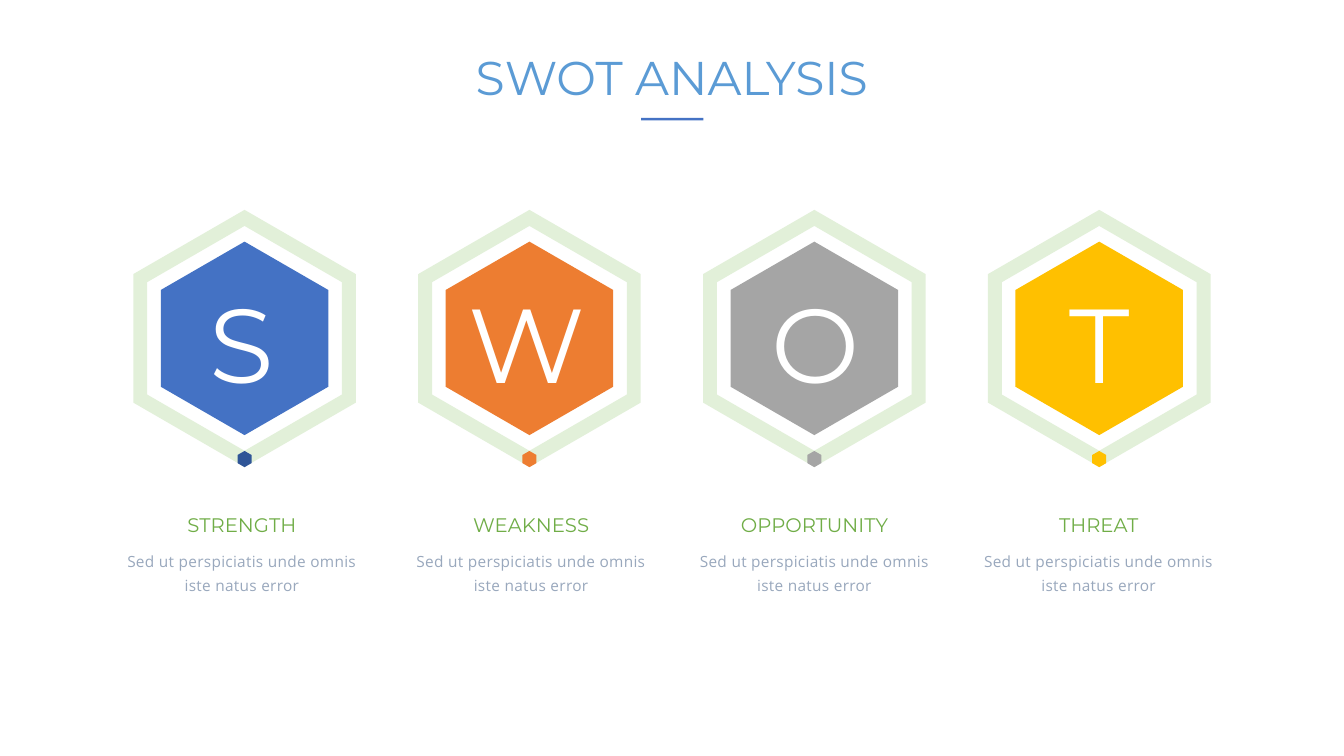
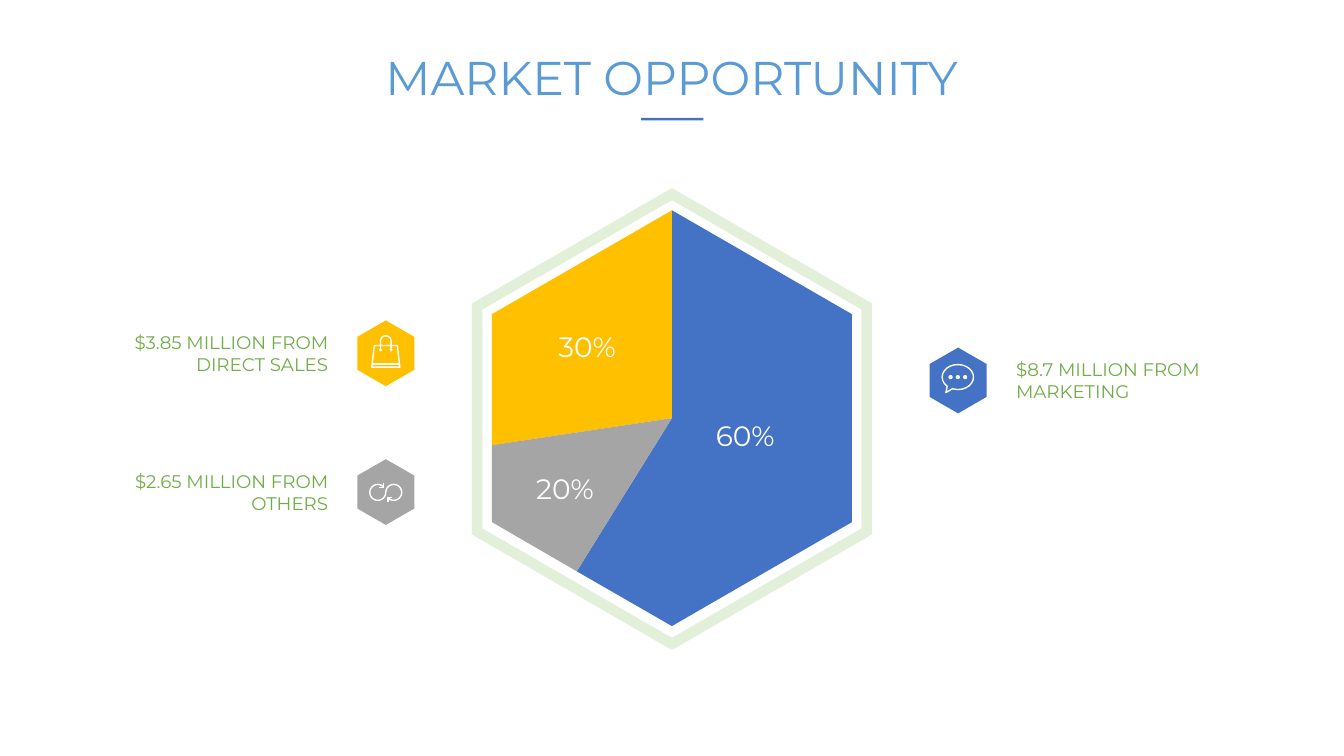
from math import cos, radians, sin

from pptx import Presentation
from pptx.dml.color import RGBColor
from pptx.enum.shapes import MSO_SHAPE
from pptx.enum.text import MSO_ANCHOR, PP_ALIGN
from pptx.util import Pt

LEFT, MID, RIGHT = PP_ALIGN.LEFT, PP_ALIGN.CENTER, PP_ALIGN.RIGHT
RECT, OVAL = MSO_SHAPE.RECTANGLE, MSO_SHAPE.OVAL
BUBBLE = MSO_SHAPE.OVAL_CALLOUT
HEAD, BODY = "Montserrat", "Open Sans"
BLUE, NAVY, SKY = "4472C4", "2F5597", "5B9BD5"
ORANGE, GREY, GOLD = "ED7D31", "A5A5A5", "FFC000"
GREEN, PALE, SLATE, WHITE = "70AD47", "E2F0D9", "99A8BD", "FFFFFF"
HEX = [(cos(radians(a)), sin(radians(a))) for a in range(-90, 270, 60)]
color = RGBColor.from_string


def trace(slide, x, y, loops, fill=None):
    pen = None
    for size, points in loops:
        spots = [(Pt(x + size * dx), Pt(y + size * dy)) for dx, dy in points]
        if pen is None:
            pen = slide.shapes.build_freeform(*spots[0])
        else:
            pen.move_to(*spots[0])
        pen.add_line_segments(spots[1:], close=fill is not None)
    shape = pen.convert_to_shape()
    shape.shadow.inherit = False
    if fill:
        shape.fill.solid()
        shape.fill.fore_color.rgb = color(fill)
        shape.line.fill.background()
    else:
        shape.fill.background()
        shape.line.color.rgb = color(WHITE)
        shape.line.width = Pt(1)


def label(slide, text, x, y, w, h, size, tint, align=MID, font=HEAD):
    frame = slide.shapes.add_textbox(Pt(x), Pt(y), Pt(w), Pt(h)).text_frame
    frame.word_wrap = True
    frame.margin_left = frame.margin_right = 0
    frame.margin_top = frame.margin_bottom = 0
    frame.text = text
    for para in frame.paragraphs:
        para.alignment = align
        para.font.name = font
        para.font.size = Pt(size)
        para.font.color.rgb = color(tint)
    return frame


deck = Presentation()
deck.slide_width, deck.slide_height = Pt(960), Pt(540)

slides = []
for title in ("SWOT ANALYSIS", "MARKET OPPORTUNITY"):
    slide = deck.slides.add_slide(deck.slide_layouts[6])
    rule = slide.shapes.add_shape(RECT, Pt(458), Pt(84.2), Pt(44.4), Pt(1.9))
    rule.shadow.inherit = False
    rule.fill.solid()
    rule.fill.fore_color.rgb = color(BLUE)
    rule.line.fill.background()
    frame = label(slide, title, 66, 32, 828, 46, 33.8, SKY)
    frame.vertical_anchor = MSO_ANCHOR.MIDDLE
    slides.append(slide)
swot, market = slides

parts = [
    ("STRENGTH", BLUE, NAVY, 172.8, 172.8),
    ("WEAKNESS", ORANGE, ORANGE, 376.6, 379.4),
    ("OPPORTUNITY", GREY, GREY, 582.5, 581.8),
    ("THREAT", GOLD, GOLD, 785.5, 784.8),
]
for i, (name, fill, dot, mark, text) in enumerate(parts):
    x = 174.7 + 203.5 * i
    trace(swot, x, 241.7, [(91.8, HEX), (80.3, HEX)], PALE)
    trace(swot, x, 241.7, [(69.1, HEX)], fill)
    trace(swot, x, 327.9, [(5.8, HEX)], dot)
    label(swot, name[0], mark - 52.5, 198.7, 105, 91, 75, WHITE)
    label(swot, name, text - 85.7, 366.5, 171.4, 17, 14, GREEN)
    note = label(swot, "Sed ut perspiciatis unde omnis iste natus error",
                 text - 85.7, 390.2, 171.4, 33, 11, SLATE, font=BODY)
    para = note.paragraphs[0]
    para.line_spacing = 1.3
    para.space_after = Pt(6)
    para.runs[0]._r.get_or_add_rPr().set("spc", "20")

cx, cy, size = 480, 298.7, 148.5
top, east, south, base, west, north = [(size * a, size * b) for a, b in HEX]
low, side = (-68, 109.4), (west[0], 19.3)
slices = [
    ("60%", BLUE, [top, east, south, base, low], 532.4, 298.8),
    ("30%", GOLD, [side, north, top], 419.4, 235.4),
    ("20%", GREY, [low, west, side], 403.6, 337),
]
for share, fill, edge, x, y in slices:
    trace(market, cx, cy, [(1, [(0, 0)] + edge)], fill)
    label(market, share, x - 42, y, 84, 24.5, 20, WHITE)
trace(market, cx, 299.3, [(165, HEX), (156.3, HEX)], PALE)

sources = [
    ("$8.7 MILLION FROM\nMARKETING", BLUE, 684.4, 271.8, 725.8, LEFT),
    ("$2.65 MILLION FROM OTHERS", GREY, 275.6, 351.5, 66.2, RIGHT),
    ("$3.85 MILLION FROM DIRECT SALES", GOLD, 275.6, 252.4, 66.2, RIGHT),
]
for text, fill, x, y, edge, align in sources:
    trace(market, x, y, [(23.5, HEX)], fill)
    label(market, text, edge, y - 15.7, 168, 32, 13, GREEN, align)

chat = market.shapes.add_shape(BUBBLE, Pt(673), Pt(260.4), Pt(22.4), Pt(17.9))
chat.shadow.inherit = False
chat.adjustments[0], chat.adjustments[1] = -0.38, 0.62
chat.fill.background()
chat.line.color.rgb = color(WHITE)
chat.line.width = Pt(1)

loop = 5.7
swirl = [(-loop + loop * cos(radians(a)), loop * sin(radians(a)))
         for a in range(-45, -361, -15)]
swirl += [(loop + loop * cos(radians(a)), loop * sin(radians(a)))
          for a in range(180, 496, 15)]
tip = [(-4.7, -3.6), (-1.6, -3.6), (-1.6, -6.9)]
tail = [(-dx, -dy) for dx, dy in tip]
trace(market, 275.6, 351.7, [(1, swirl), (1, tip), (1, tail)])

bag = [(-8.2, -5.6), (8.2, -5.6), (10, 9.8), (-10, 9.8), (-8.2, -5.6)]
seam = [(-9.7, 7.6), (9.7, 7.6)]
grip = [(-3.8, -2.5)]
grip += [(3.8 * cos(radians(a)), -8.7 + 3.8 * sin(radians(a)))
         for a in range(180, 361, 15)]
grip += [(3.8, -2.5)]
trace(market, 275.6, 252.4, [(1, bag), (1, seam), (1, grip)])

dots = [(684.2 + 5.2 * k, 269.4, 1.5) for k in (-1, 0, 1)]
dots += [(275.6 + 3.8 * k, 250, 1) for k in (-1, 1)]
for x, y, r in dots:
    dot = market.shapes.add_shape(OVAL, Pt(x - r), Pt(y - r), Pt(2 * r), Pt(2 * r))
    dot.shadow.inherit = False
    dot.fill.solid()
    dot.fill.fore_color.rgb = color(WHITE)
    dot.line.fill.background()

deck.save("out.pptx")
